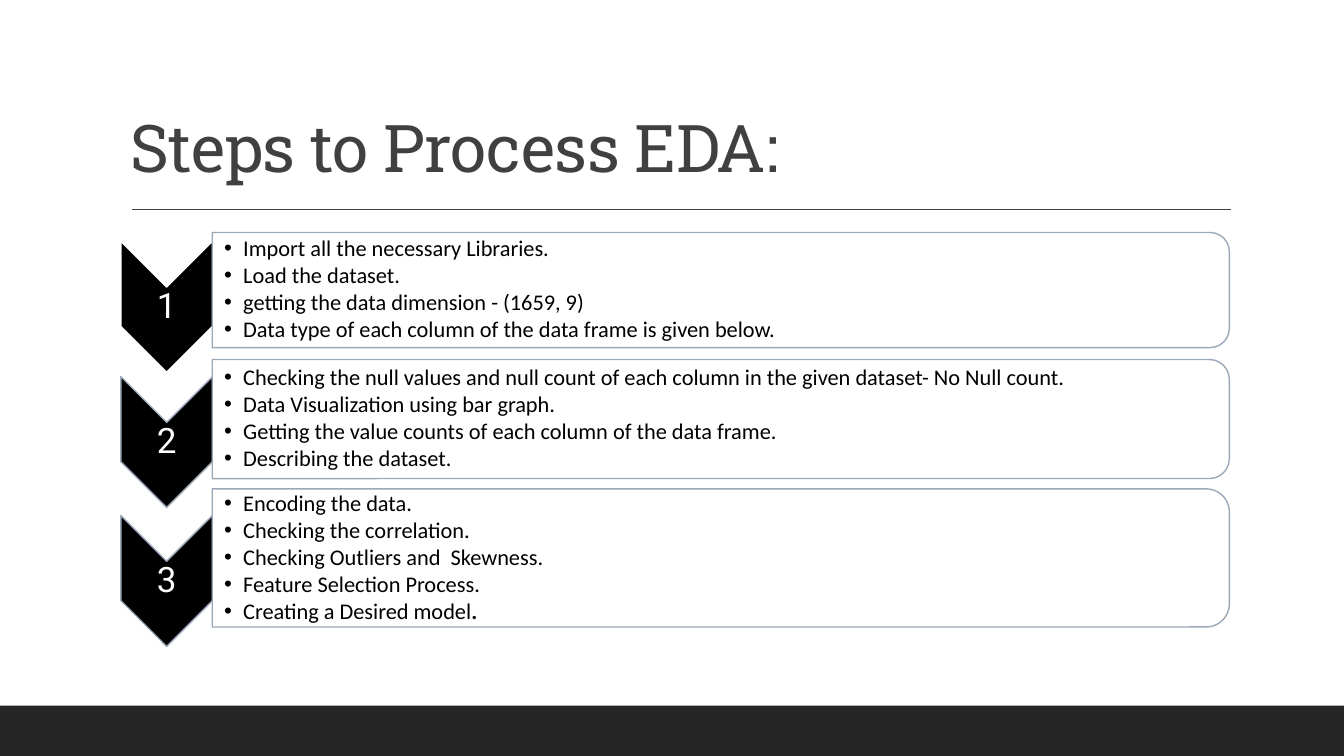
import pptx
import pptx.util
import pptx.dml.color
import pptx.enum.shapes
import pptx.enum.text
import pptx.oxml.ns
import lxml.etree

Cm = pptx.util.Cm
Pt = pptx.util.Pt
RGBColor = pptx.dml.color.RGBColor
Shape = pptx.enum.shapes.MSO_SHAPE
Align = pptx.enum.text.PP_ALIGN
Anchor = pptx.enum.text.MSO_ANCHOR
qn = pptx.oxml.ns.qn

BLACK = RGBColor(0x00, 0x00, 0x00)
WHITE = RGBColor(0xFF, 0xFF, 0xFF)
DARK = RGBColor(0x26, 0x26, 0x26)
GREY = RGBColor(0x40, 0x40, 0x40)
STEEL = RGBColor(0x9B, 0xA8, 0xB7)

TITLE = "Steps to Process EDA:"
STEPS = [
    (7.73, 5.86, 2.9, WHITE, [
        "Import all the necessary Libraries.",
        "Load the dataset.",
        "getting the data dimension - (1659, 9)",
        "Data type of each column of the data frame is given below."]),
    (11.14, 9.06, 3.0, STEEL, [
        "Checking the null values and null count of each column in the given dataset- No Null count.",
        "Data Visualization using bar graph.",
        "Getting the value counts of each column of the data frame.",
        "Describing the dataset."]),
    (14.64, 12.32, 3.48, STEEL, [
        "Encoding the data.",
        "Checking the correlation.",
        "Checking Outliers and  Skewness.",
        "Feature Selection Process.",
        "Creating a Desired model"]),
]
WIDE, HIGH = 33.87, 19.05
MID = 4.2
LONG, SHORT = 3.3, 2.31
LEFT, SPAN = 5.35, 25.63

deck = pptx.Presentation()
deck.slide_width, deck.slide_height = Cm(WIDE), Cm(HIGH)
slide = deck.slides.add_slide(deck.slide_layouts[6])
shapes = slide.shapes


def add_form(kind, x, y, w, h, fill, edge=None):
    form = shapes.add_shape(kind, Cm(x), Cm(y), Cm(w), Cm(h))
    form.shadow.inherit = False
    form.fill.solid()
    form.fill.fore_color.rgb = fill
    if edge is None:
        form.line.fill.background()
    else:
        form.line.color.rgb = edge
        form.line.width = Pt(1)
    return form


def add_turned(kind, x, y, long, short, fill, edge):
    form = add_form(kind, x - long / 2, y - short / 2, long, short, fill, edge)
    form.rotation = 90
    return form


def add_text(lines, x, y, w, h, pads, anchor, size, font, color, after=0):
    frame = shapes.add_textbox(Cm(x), Cm(y), Cm(w), Cm(h)).text_frame
    frame.word_wrap = True
    frame.vertical_anchor = anchor
    frame.margin_left, frame.margin_top, frame.margin_right, frame.margin_bottom = map(Cm, pads)
    frame.text = "\n".join(lines)
    for para in frame.paragraphs:
        para.line_spacing = 0.9
        para.space_after = Pt(after)
        style(para.runs[0], size, font, color)
    return frame


def style(run, size, font, color):
    run.font.size = Pt(size)
    run.font.name = font
    run.font.color.rgb = color


def add_dot(para):
    props = para._p.get_or_add_pPr()
    props.set("marL", str(Cm(0.48)))
    props.set("indent", str(-Cm(0.48)))
    lxml.etree.SubElement(props, qn("a:buFont")).set("typeface", "Arial")
    lxml.etree.SubElement(props, qn("a:buChar")).set("char", "•")


add_form(Shape.RECTANGLE, 0, 17.78, WIDE, 1.27, DARK)
rule = shapes.add_connector(pptx.enum.shapes.MSO_CONNECTOR.STRAIGHT,
                            Cm(3.33), Cm(5.28), Cm(31.01), Cm(5.28))
rule.line.color.rgb = GREY
rule.line.width = Pt(1)
lxml.etree.SubElement(rule._element.spPr, qn("a:effectLst"))

title = add_text([TITLE], 3.05, 0.79, 27.94, 4.04, (0.25, 0.13, 0.25, 0.13),
                 Anchor.BOTTOM, 47, "Roboto Slab", GREY)
title.paragraphs[0].runs[0]._r.get_or_add_rPr().set("spc", "-50")

for num, (mid, top, tall, edge, lines) in enumerate(STEPS, 1):
    add_turned(Shape.CHEVRON, MID, mid, LONG, SHORT, BLACK, edge)
    label = add_text([str(num)], MID - SHORT / 2, mid - 0.5, SHORT, 1, (0.05,) * 4,
                     Anchor.MIDDLE, 25, "Roboto", WHITE)
    label.paragraphs[0].alignment = Align.CENTER

    panel = add_turned(Shape.ROUND_2_SAME_RECTANGLE, LEFT + SPAN / 2, top + tall / 2,
                       tall, SPAN, WHITE, STEEL)
    tint = panel._element.spPr.find(qn("a:solidFill"))[0]
    lxml.etree.SubElement(tint, qn("a:alpha")).set("val", "90000")
    body = add_text(lines, LEFT, top + 0.14, SPAN - 0.15, tall - 0.28,
                    (0.3, 0.03, 0.03, 0.03), Anchor.MIDDLE, 16, "Calibri", BLACK, 2)
    for para in body.paragraphs:
        add_dot(para)

stop = body.paragraphs[-1].add_run()
stop.text = "."
style(stop, 16, "Calibri", BLACK)
stop.font.bold = True

deck.save("out.pptx")
